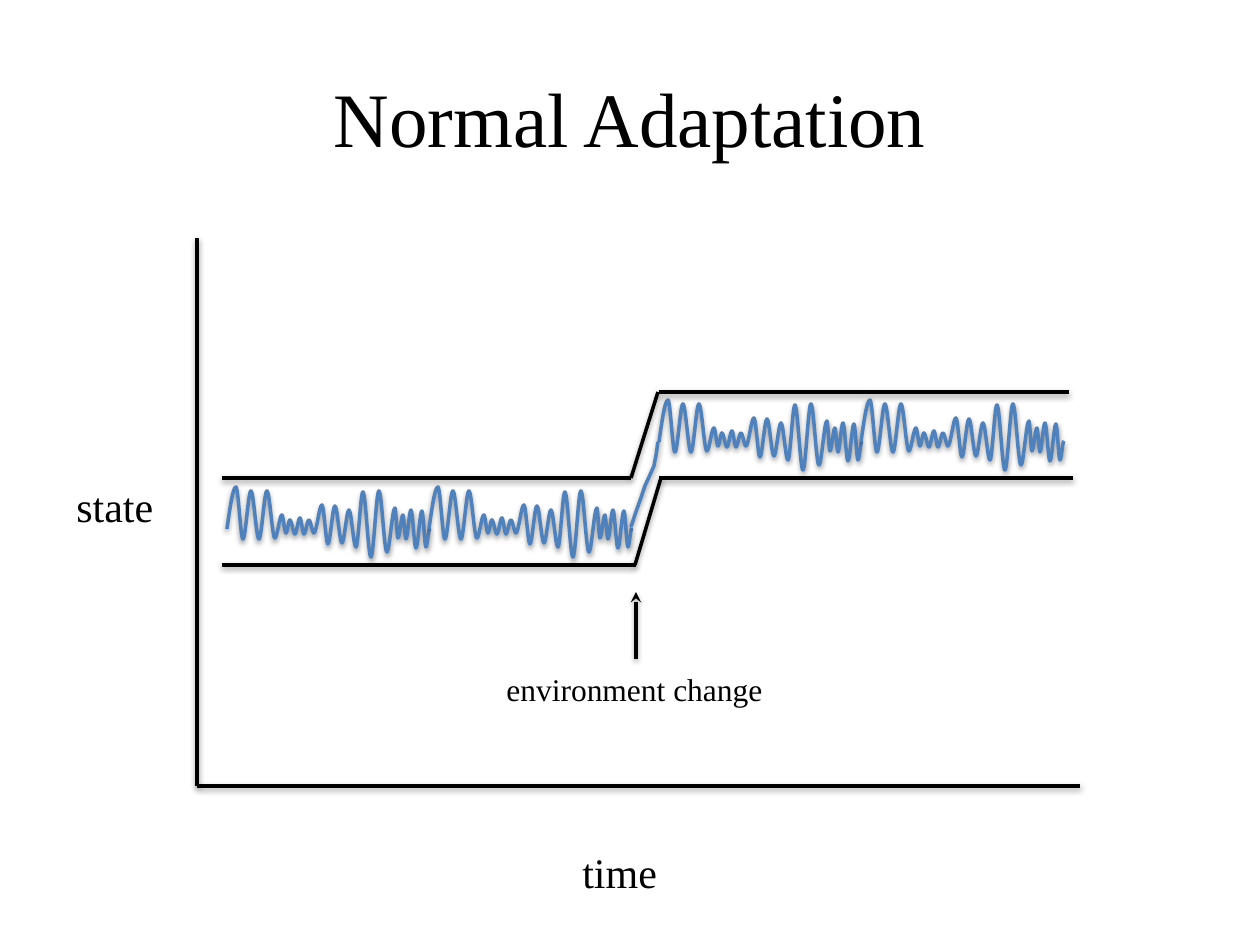
from itertools import pairwise

from lxml.etree import SubElement
from pptx import Presentation
from pptx.dml.color import RGBColor
from pptx.enum.shapes import MSO_CONNECTOR
from pptx.enum.text import MSO_ANCHOR, PP_ALIGN
from pptx.oxml import parse_xml
from pptx.oxml.ns import nsdecls, qn
from pptx.util import Pt

PX = 914400 / 126
BLACK, BLUE = "000000", "4F81BD"
SHADOW = f"""<a:effectLst {nsdecls('a')}>
  <a:outerShdw blurRad="40000" dist="20000" dir="5400000" rotWithShape="0">
    <a:srgbClr val="000000"><a:alpha val="38000"/></a:srgbClr>
  </a:outerShdw>
</a:effectLst>"""


def px(*lengths):
    return [round(length * PX) for length in lengths]


def draw_line(shape, color):
    """Give a connector or curve its 2 pt line and soft shadow."""
    shape.line.color.rgb = RGBColor.from_string(color)
    shape.line.width = Pt(2)
    shape._element.spPr.append(parse_xml(SHADOW))


deck = Presentation()
deck.slide_width, deck.slide_height = px(1260, 945)
page = deck.slides.add_slide(deck.slide_layouts[6])
shapes = page.shapes

# Axes, then the lower and upper bounds of the normal range
straight_lines = [
    (197, 238, 197, 786),
    (1080, 786, 197, 786),
    (222, 565, 636, 565),
    (222, 478, 631, 478),
    (659, 478, 1073, 478),
    (659, 392, 1069, 392),
    (631, 478, 658, 392),
    (635, 565, 661, 478),
]
for ends in straight_lines:
    line = shapes.add_connector(MSO_CONNECTOR.STRAIGHT, *px(*ends))
    draw_line(line, BLACK)

# One wave: turning points as offsets from its start
turns = [
    (9, -42), (16, 10), (24, -38), (32, 10), (40, -38), (48, 9), (55, -14),
    (59, 4), (63, -9), (68, 5), (73, -11), (77, 5), (82, -9), (87, 4),
    (95, -24), (101, 15), (108, -23), (115, 14), (122, -19), (129, 18),
    (136, -37), (144, 28), (152, -38), (160, 23), (168, -21), (171, 9),
    (176, -14), (179, 10), (184, -19), (189, 19), (195, -18), (199, 18),
    (203, -1),
]
for left, middle in [(659, 442), (861, 442), (227, 529), (429, 529)]:
    builder = shapes.build_freeform(*px(left, middle))
    builder.add_line_segments(
        [px(left + dx, middle + dy) for dx, dy in turns], close=False)
    wave = builder.convert_to_shape()
    wave.fill.background()
    draw_line(wave, BLUE)
    # Bend each segment so that it is level at both turning points
    nodes = list(wave._element.iter(qn("a:pt")))
    for start, end in pairwise(nodes):
        x0, y0, x1, y1 = [int(node.get(axis)) for node in (start, end) for axis in "xy"]
        steep = (y1 - y0) // 2 if start is nodes[0] else 0
        segment = end.getparent()
        segment.tag = qn("a:cubicBezTo")
        for x, y in [(x0 + (x1 - x0) // 3, y0 + steep), (x1 - (x1 - x0) // 3, y1)]:
            SubElement(segment, qn("a:pt"), x=str(x), y=str(y))
        segment.append(end)

# Transition from the old range to the new one
climb = [(636, 512), (641, 498), (645, 486), (650, 475), (654, 466), (656, 456), (658, 442)]
builder = shapes.build_freeform(*px(631, 527))
builder.add_line_segments([px(*point) for point in climb], close=False)
transition = builder.convert_to_shape()
transition.fill.background()
draw_line(transition, BLUE)

change_arrow = shapes.add_connector(MSO_CONNECTOR.STRAIGHT, *px(636, 659, 636, 592))
draw_line(change_arrow, BLACK)
SubElement(change_arrow.line._get_or_add_ln(), qn("a:tailEnd"), type="stealth")

labels = [
    ("Normal Adaptation", (63, 38, 1134, 158), 44, True),
    ("time", (570, 840, 101, 63), 24, False),
    ("state", (64, 474, 103, 63), 24, False),
    ("environment change", (494, 664, 285, 50), 18, False),
]
for text, place, size, is_title in labels:
    box = shapes.add_textbox(*px(*place))
    frame = box.text_frame
    frame.word_wrap = is_title
    frame.vertical_anchor = MSO_ANCHOR.MIDDLE if is_title else MSO_ANCHOR.TOP
    para = frame.paragraphs[0]
    para.alignment = PP_ALIGN.CENTER if is_title else PP_ALIGN.LEFT
    span = para.add_run()
    span.text = text
    for name, value in {"name": "Times New Roman", "size": Pt(size)}.items():
        setattr(span.font, name, value)
    span.font.color.rgb = RGBColor.from_string(BLACK)

deck.save("out.pptx")
